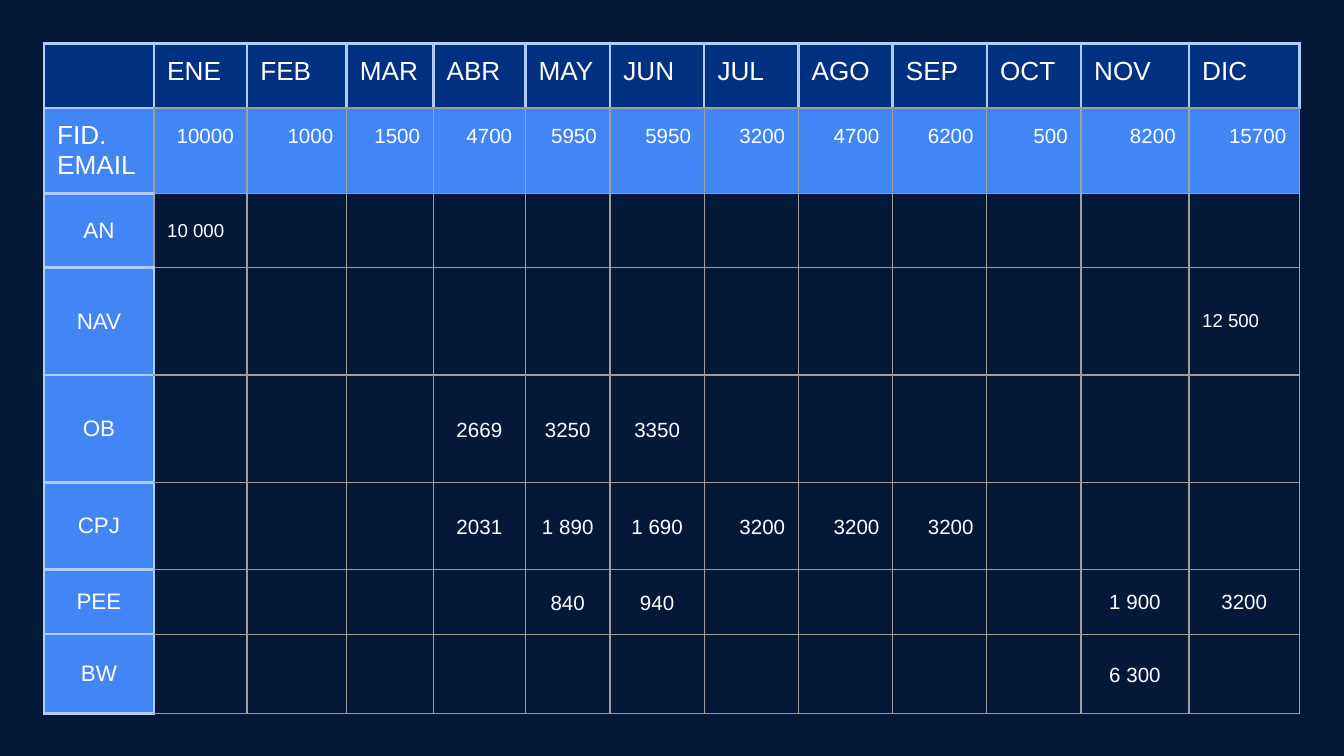
from dataclasses import dataclass

from lxml import etree
from pptx import Presentation
from pptx.dml.color import RGBColor
from pptx.enum.text import MSO_ANCHOR, PP_ALIGN
from pptx.oxml.ns import qn
from pptx.table import _Cell
from pptx.util import Cm, Pt

LEFT, CENTER, RIGHT = PP_ALIGN.LEFT, PP_ALIGN.CENTER, PP_ALIGN.RIGHT
TOP, MIDDLE = MSO_ANCHOR.TOP, MSO_ANCHOR.MIDDLE

NIGHT = RGBColor(0x04, 0x19, 0x38)
NAVY = RGBColor(0x01, 0x31, 0x80)
BLUE = RGBColor(0x42, 0x86, 0xF5)
PALE = RGBColor(0xB1, 0xCC, 0xF9)
GREY = RGBColor(0x9E, 0x9E, 0x9E)
WHITE = RGBColor(0xFF, 0xFF, 0xFF)

FONT = "Arial"
INSET = Cm(0.25)
SIDES = "LRTB"
COL_WIDTHS = [2.08, 1.76, 1.88, 1.64, 1.74, 1.6] + [1.78] * 5 + [2.04, 2.09]
ROW_HEIGHTS = [1.22, 1.62, 1.4, 2.03, 2.03, 1.65, 1.22, 1.5]
MONTHS = ["ENE", "FEB", "MAR", "ABR", "MAY", "JUN",
          "JUL", "AGO", "SEP", "OCT", "NOV", "DIC"]
TOTALS = ["10000", "1000", "1500", "4700", "5950", "5950",
          "3200", "4700", "6200", "500", "8200", "15700"]
CLIENTS = ["AN", "NAV", "OB", "CPJ", "PEE", "BW"]


@dataclass(frozen=True)
class Style:
    size: float
    align: PP_ALIGN = LEFT
    anchor: MSO_ANCHOR = TOP
    spacing: float = 1.0


@dataclass(frozen=True)
class Entry:
    client: str
    month: str
    text: str
    style: Style


HEADING = Style(14)
TOTAL = Style(11, RIGHT, TOP, 1.15)
CLIENT = Style(12, CENTER, MIDDLE)
SMALL = Style(10, LEFT, MIDDLE)
CENTRED = Style(11, CENTER, MIDDLE, 1.15)
PLAIN = Style(11, CENTER, MIDDLE)
RIGHTWARD = Style(11, RIGHT, MIDDLE, 1.15)

ENTRIES = [
    Entry("AN", "ENE", "10 000", SMALL),
    Entry("NAV", "DIC", "12 500", SMALL),
    Entry("OB", "ABR", "2669", CENTRED),
    Entry("OB", "MAY", "3250", CENTRED),
    Entry("OB", "JUN", "3350", CENTRED),
    Entry("CPJ", "ABR", "2031", CENTRED),
    Entry("CPJ", "MAY", "1 890", CENTRED),
    Entry("CPJ", "JUN", "1 690", CENTRED),
    Entry("CPJ", "JUL", "3200", RIGHTWARD),
    Entry("CPJ", "AGO", "3200", RIGHTWARD),
    Entry("CPJ", "SEP", "3200", RIGHTWARD),
    Entry("PEE", "MAY", "840", CENTRED),
    Entry("PEE", "JUN", "940", CENTRED),
    Entry("PEE", "NOV", "1 900", PLAIN),
    Entry("PEE", "DIC", "3200", PLAIN),
    Entry("BW", "NOV", "6 300", CENTRED),
]


def pale_sides(row: int, col: int) -> str:
    if row == 0:
        return SIDES if col == 0 else "LRT"
    if col == 0:
        return "LTB" if row < 3 else SIDES
    return "L" if col == 1 and row >= 3 else ""


def set_borders(cell: _Cell, pale: str) -> None:
    tc_pr = cell._tc.get_or_add_tcPr()
    for side in SIDES:
        color, width = (PALE, 1.5) if side in pale else (GREY, 0.75)
        ln = etree.SubElement(tc_pr, qn(f"a:ln{side}"), w=str(Pt(width)))
        fill = etree.SubElement(ln, qn("a:solidFill"))
        etree.SubElement(fill, qn("a:srgbClr"), val=str(color))


def format_cell(cell: _Cell, row: int, col: int) -> None:
    cell.margin_left = cell.margin_right = INSET
    cell.margin_top = cell.margin_bottom = INSET
    set_borders(cell, pale_sides(row, col))
    if row > 1 and col > 0:
        cell.fill.background()
    else:
        cell.fill.solid()
        cell.fill.fore_color.rgb = NAVY if row == 0 else BLUE


def write_cell(cell: _Cell, lines: list[str], style: Style) -> None:
    cell.vertical_anchor = style.anchor
    tf = cell.text_frame
    for i, line in enumerate(lines):
        p = tf.add_paragraph() if i else tf.paragraphs[0]
        p.alignment = style.align
        p.line_spacing = style.spacing
        r = p.add_run()
        r.text = line
        r.font.name = FONT
        r.font.size = Pt(style.size)
        r.font.color.rgb = WHITE


def size_empty_cell(cell: _Cell) -> None:
    p = cell.text_frame.paragraphs[0]
    etree.SubElement(p._p, qn("a:endParaRPr"), sz="1000")


def main() -> None:
    prs = Presentation()
    prs.slide_width, prs.slide_height = Cm(25.4), Cm(14.29)
    s = prs.slides.add_slide(prs.slide_layouts[6])
    s.background.fill.solid()
    s.background.fill.fore_color.rgb = NIGHT

    table = s.shapes.add_table(
        len(ROW_HEIGHTS), len(COL_WIDTHS), Cm(0.83), Cm(0.82),
        Cm(sum(COL_WIDTHS)), Cm(sum(ROW_HEIGHTS))).table
    table.first_row = table.horz_banding = False
    for column, width in zip(table.columns, COL_WIDTHS):
        column.width = Cm(width)
    for row, height in zip(table.rows, ROW_HEIGHTS):
        row.height = Cm(height)

    contents = {(1, 0): (["FID.", "EMAIL"], HEADING)}
    for col, (month, total) in enumerate(zip(MONTHS, TOTALS), 1):
        contents[0, col] = ([month], HEADING)
        contents[1, col] = ([total], TOTAL)
    for row, client in enumerate(CLIENTS, 2):
        contents[row, 0] = ([client], CLIENT)
    for entry in ENTRIES:
        place = CLIENTS.index(entry.client) + 2, MONTHS.index(entry.month) + 1
        contents[place] = ([entry.text], entry.style)

    for row in range(len(ROW_HEIGHTS)):
        for col in range(len(COL_WIDTHS)):
            cell = table.cell(row, col)
            format_cell(cell, row, col)
            if (row, col) in contents:
                write_cell(cell, *contents[row, col])
            else:
                size_empty_cell(cell)

    prs.save("out.pptx")


if __name__ == "__main__":
    main()
